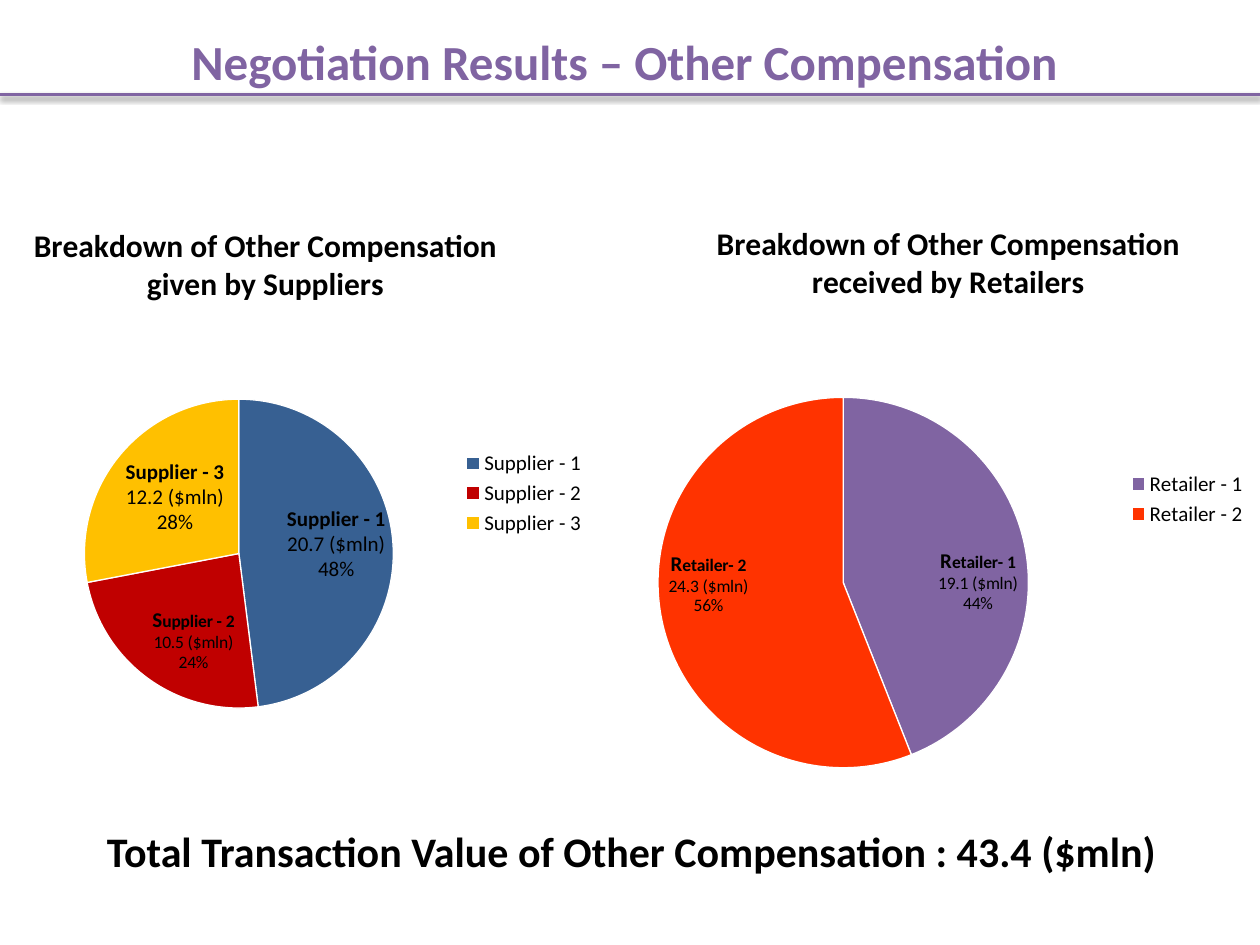
from dataclasses import dataclass

from lxml import etree
from pptx import Presentation
from pptx.chart.data import CategoryChartData
from pptx.dml.color import RGBColor
from pptx.enum.chart import XL_CHART_TYPE, XL_LABEL_POSITION, XL_LEGEND_POSITION
from pptx.enum.shapes import MSO_CONNECTOR
from pptx.enum.text import MSO_ANCHOR, MSO_AUTO_SIZE, PP_ALIGN
from pptx.oxml import parse_xml
from pptx.oxml.ns import nsdecls, qn
from pptx.util import Inches, Pt

PIE = XL_CHART_TYPE.PIE
INSIDE = XL_LABEL_POSITION.INSIDE_END
RIGHT = XL_LEGEND_POSITION.RIGHT
LINE = MSO_CONNECTOR.STRAIGHT
MIDDLE = MSO_ANCHOR.MIDDLE
FIT = MSO_AUTO_SIZE.SHAPE_TO_FIT_TEXT
CENTER = PP_ALIGN.CENTER


@dataclass(frozen=True)
class Theme:
    font: str = "Calibri"
    ink: str = "000000"
    paper: str = "FFFFFF"
    accent: str = "8064A2"
    title: int = 28
    total: int = 24
    head: int = 18
    body: int = 12
    small: int = 10


THEME = Theme()


@dataclass(frozen=True)
class Slice:
    name: str
    label: str
    amount: float
    share: int
    color: str
    small: bool = False


@dataclass(frozen=True)
class Pie:
    title: str
    box: tuple[float, float, float, float]
    head: tuple[float, float]
    plot: tuple[float, float, float, float]
    slices: tuple[Slice, ...]


PIES = (
    Pie("Breakdown of Other Compensation given by Suppliers",
        (-0.17, 1.25, 4.92, 5.33), (0.08, 0.09), (0.17, 0.36, 0.5, 0.46),
        (Slice("Supplier - 1", "Supplier - 1", 20.7, 48, "376092"),
         Slice("Supplier - 2", "Supplier - 2", 10.5, 24, "C00000", True),
         Slice("Supplier - 3", "Supplier - 3", 12.2, 28, "FFC000"))),
    Pie("Breakdown of Other Compensation received by Retailers",
        (4.75, 1.67, 5.25, 4.58), (0.17, 0.01), (0.09, 0.32, 0.56, 0.65),
        (Slice("Retailer - 1", "Retailer- 1", 19.1, 44, THEME.accent, True),
         Slice("Retailer - 2", "Retailer- 2", 24.3, 56, "FF3300", True))),
)


def style(font, size: int, bold: bool = False, color: str = THEME.ink) -> None:
    font.name = THEME.font
    font.size = Pt(size)
    font.bold = bold
    font.color.rgb = RGBColor.from_string(color)


def lay_out(node, index: int, spots: tuple[float, ...], inner: bool = False) -> None:
    """Pin a chart part at x, y (and w, h), given as shares of the chart."""
    for old in node.findall(qn("c:layout")):
        node.remove(old)
    layout = etree.Element(qn("c:layout"))
    manual = etree.SubElement(layout, qn("c:manualLayout"))
    pairs = [("layoutTarget", "inner")] if inner else []
    pairs += [("xMode", "edge"), ("yMode", "edge")]
    pairs += list(zip("xywh", spots))
    for tag, val in pairs:
        etree.SubElement(manual, qn(f"c:{tag}")).set("val", str(val))
    node.insert(index, layout)


def add_label(point, part: Slice) -> None:
    """Small labels keep a larger first letter."""
    size = THEME.small if part.small else THEME.body
    label = point.data_label
    frame = label.text_frame
    frame.word_wrap = False
    para = frame.paragraphs[0]
    for text, points in ((part.label[0], THEME.body), (part.label[1:], size)):
        run = para.add_run()
        run.text = text
        style(run.font, points, True)
    for text in (f"{part.amount} ($mln)", f"{part.share}%"):
        run = frame.add_paragraph().add_run()
        run.text = text
        style(run.font, size)
    label.position = INSIDE


def add_pie(slide, pie: Pie) -> None:
    data = CategoryChartData()
    data.categories = [part.name for part in pie.slices]
    data.add_series("Series 1", [part.share for part in pie.slices])
    chart = slide.shapes.add_chart(PIE, *map(Inches, pie.box), data).chart
    style(chart.font, THEME.small)

    chart.has_title = True
    head = chart.chart_title
    run = head.text_frame.paragraphs[0].add_run()
    run.text = pie.title
    style(run.font, THEME.head, True)
    lay_out(head._element, 1, pie.head)

    chart.has_legend = True
    chart.legend.position = RIGHT
    chart.legend.include_in_layout = False
    style(chart.legend.font, THEME.body)

    plot = chart.plots[0]
    plot.vary_by_categories = True
    area = chart.element.find(".//" + qn("c:plotArea"))
    lay_out(area, 0, pie.plot, True)
    for index, part in enumerate(pie.slices):
        point = plot.series[0].points[index]
        point.format.fill.solid()
        point.format.fill.fore_color.rgb = RGBColor.from_string(part.color)
        point.format.line.color.rgb = RGBColor.from_string(THEME.paper)
        point.format.line.width = Pt(0.75)
        add_label(point, part)


def add_title(slide, text: str) -> None:
    title = slide.shapes.title
    title.left, title.top, title.width, title.height = map(
        Inches, (0.08, 0.05, 9.75, 0.87))
    frame = title.text_frame
    frame.text = text
    frame.vertical_anchor = MIDDLE
    para = frame.paragraphs[0]
    para.alignment = CENTER
    style(para.font, THEME.title, True, THEME.accent)


def add_rule(slide, top: float) -> None:
    rule = slide.shapes.add_connector(
        LINE, 0, Inches(top), Inches(10), Inches(top))
    rule.line.color.rgb = RGBColor.from_string(THEME.accent)
    rule.line.width = Pt(2)
    rule._element.spPr.append(parse_xml(
        f'<a:effectLst {nsdecls("a")}>'
        f'<a:outerShdw blurRad="{Pt(3.1)}" dist="{Pt(1.6)}" dir="5400000" '
        f'rotWithShape="0"><a:srgbClr val="{THEME.ink}"><a:alpha val="38000"/>'
        '</a:srgbClr></a:outerShdw></a:effectLst>'))


def add_total(slide, text: str) -> None:
    box = slide.shapes.add_textbox(*map(Inches, (0.75, 6.5, 8.6, 0.5)))
    frame = box.text_frame
    frame.word_wrap = False
    frame.auto_size = FIT
    frame.text = text
    style(frame.paragraphs[0].font, THEME.total, True)


def main() -> None:
    deck = Presentation()
    deck.slide_width, deck.slide_height = Inches(10), Inches(7.5)
    slide = deck.slides.add_slide(deck.slide_layouts.get_by_name("Title Only"))
    add_title(slide, "Negotiation Results – Other Compensation")
    add_rule(slide, 0.75)
    for pie in PIES:
        add_pie(slide, pie)
    total = sum(part.amount for part in PIES[0].slices)
    add_total(slide, "Total Transaction Value of Other Compensation : "
                     f"{total:.1f} ($mln)")
    deck.save("out.pptx")


if __name__ == "__main__":
    main()
